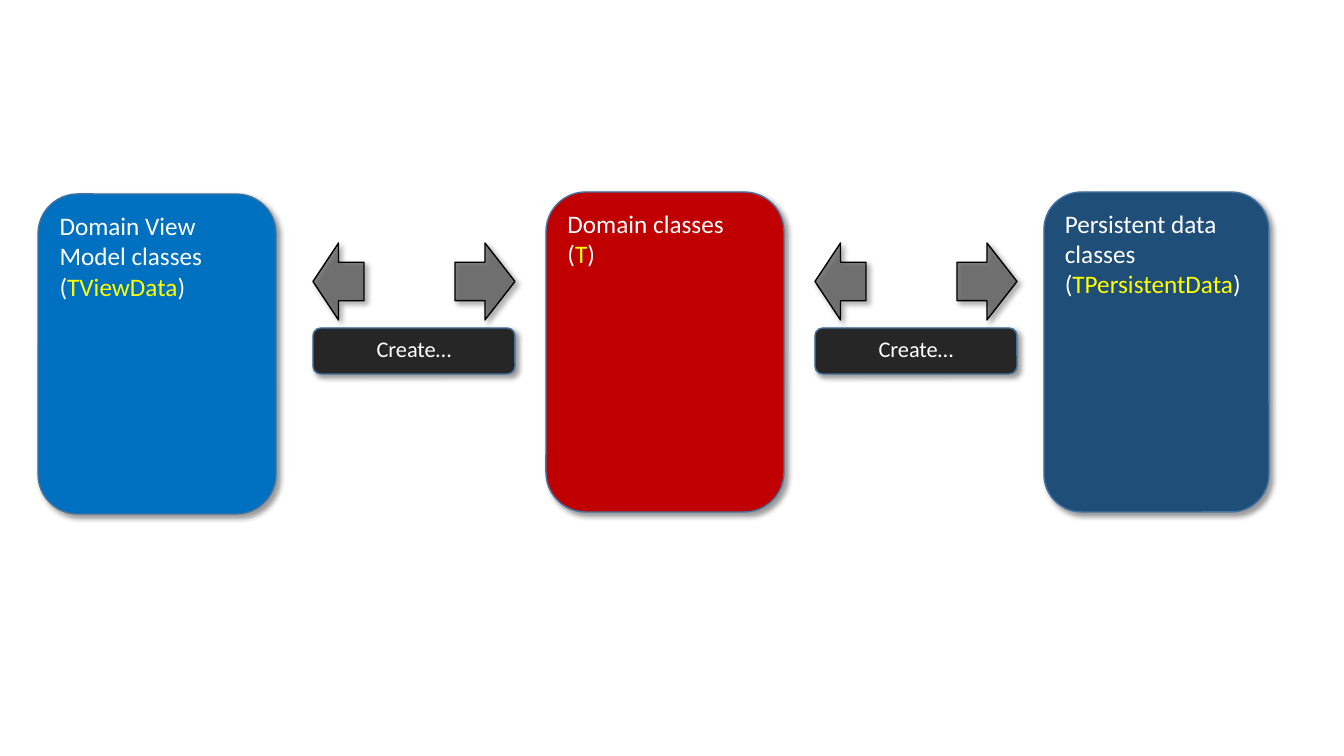
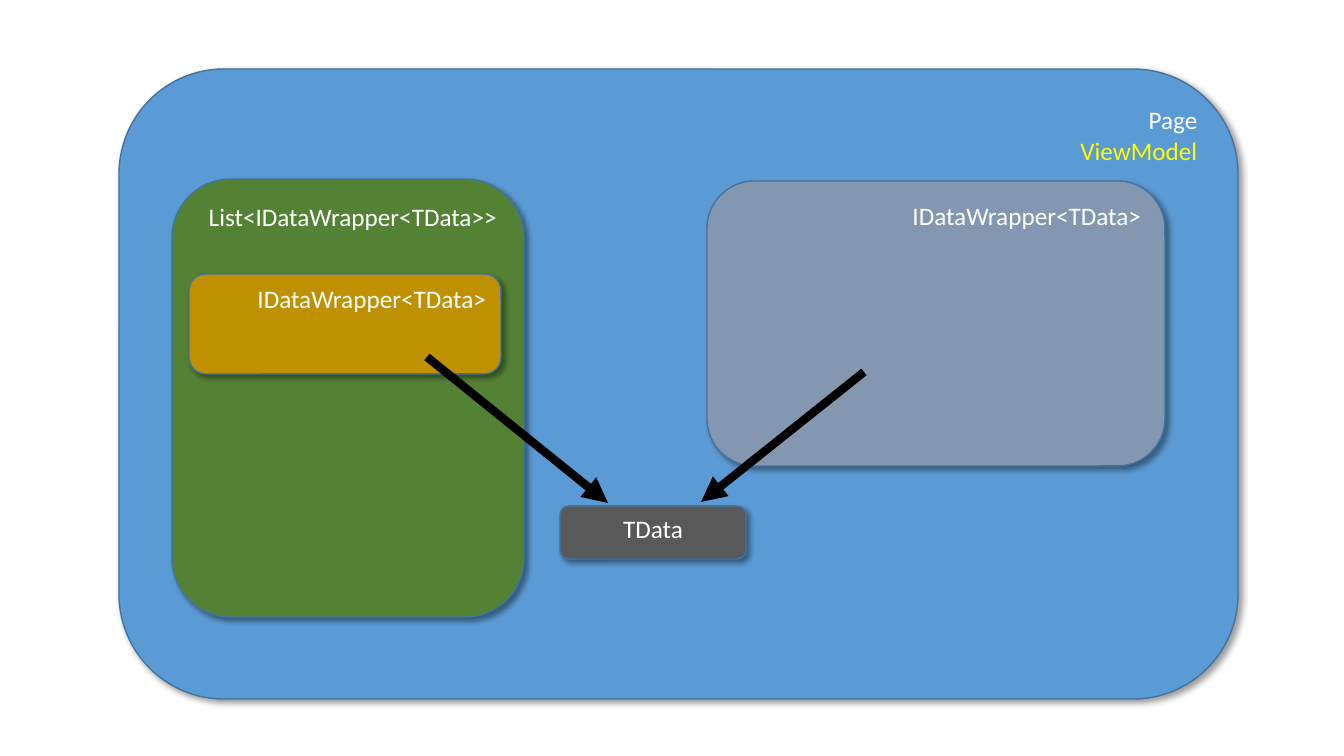
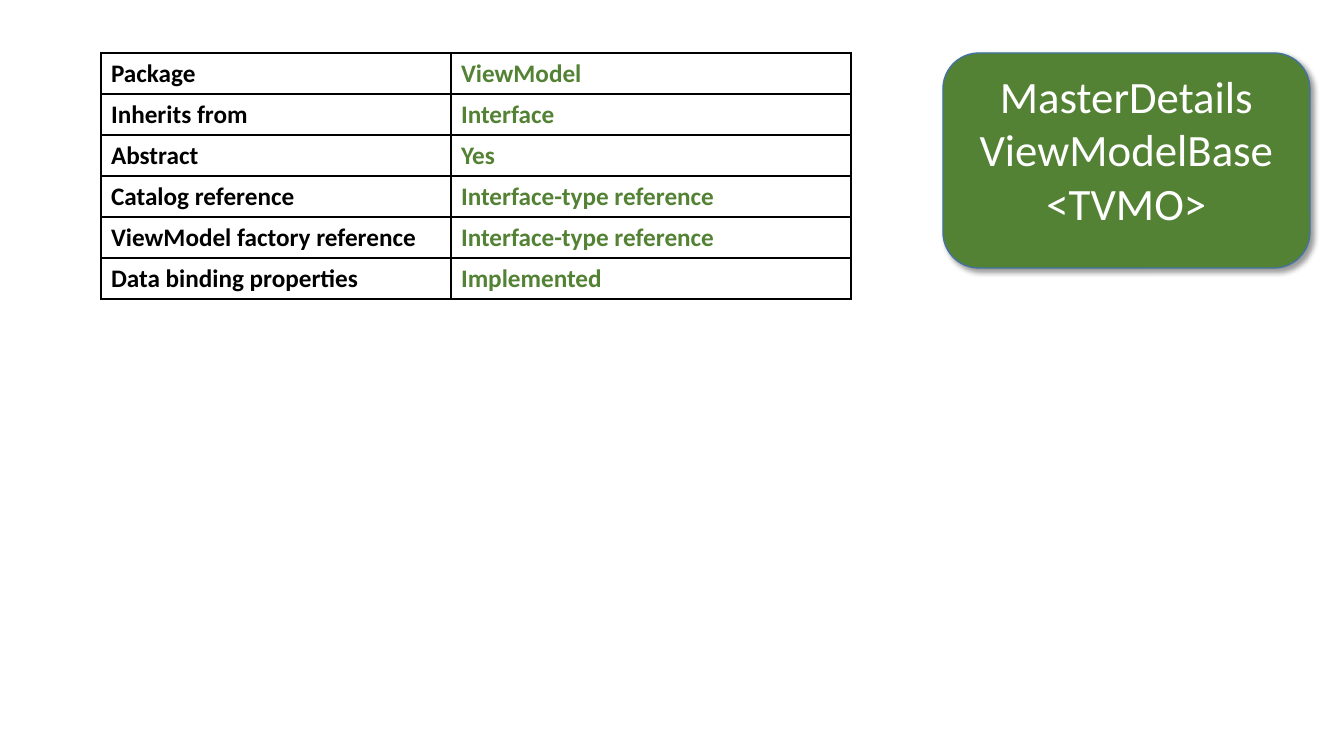
"""Build three slides on domain, view model and persistent data classes."""
from lxml.etree import SubElement
from pptx import Presentation
from pptx.dml.color import RGBColor
from pptx.enum.shapes import MSO_CONNECTOR, MSO_SHAPE
from pptx.enum.text import MSO_ANCHOR, PP_ALIGN
from pptx.oxml import parse_xml
from pptx.oxml.ns import nsdecls, qn
from pptx.util import Emu, Pt

PX = 914400 / 100.8
FONT = "Calibri"
WHITE, YELLOW, BLACK = "FFFFFF", "FFFF00", "000000"
GREEN, GREY, EDGE = "548235", "595959", "43739E"
LEFT, CENTER, RIGHT = PP_ALIGN.LEFT, PP_ALIGN.CENTER, PP_ALIGN.RIGHT


def generic(name):
    """Return the spans of a type parameter in parentheses."""
    return [("(", WHITE), (name, YELLOW), (")", WHITE)]


def plain(*lines):
    """Return one white paragraph per line."""
    return [[(line, WHITE)] for line in lines]


LAYERS = [
    ((546, 192, 238, 320), "C00000", plain("Domain classes") + [generic("T")], LEFT, 18),
    ((38, 194, 238, 320), "0070C0", plain("Domain View Model classes") + [generic("TViewData")], LEFT, 18),
    ((1044, 192, 225, 320), "1F4E79", plain("Persistent data classes") + [generic("TPersistentData")], LEFT, 18),
]
BRIDGE_LEFTS = (313, 815)
BRIDGE_WIDTH = 202

PAGE_PARTS = [
    ((119, 69, 1119, 630), "5B9BD5", plain("Page") + [[("ViewModel", YELLOW)]], RIGHT, 18),
    ((172, 179, 352, 438), GREEN, plain("List<IDataWrapper<TData>>"), RIGHT, 18),
    ((189, 274, 312, 100), "BF9000", plain("IDataWrapper<TData>"), RIGHT, 18),
    ((707, 181, 458, 285), "8497B0", plain("IDataWrapper<TData>"), RIGHT, 18),
    ((560, 506, 186, 53), GREY, plain("TData"), CENTER, 18),
]
DATA_ARROWS = [(427, 357, 608, 503), (864, 372, 701, 502)]

BASE_CLASS = ((943, 53, 367, 215), GREEN, plain("MasterDetails", "ViewModelBase", "<TVMO>"), CENTER, 32)
PROPERTIES = [
    ("Package", "ViewModel"),
    ("Inherits from", "Interface"),
    ("Abstract", "Yes"),
    ("Catalog reference", "Interface-type reference"),
    ("ViewModel factory reference", "Interface-type reference"),
    ("Data binding properties", "Implemented"),
]
COLUMNS = [(350, BLACK), (400, GREEN)]
TABLE_LEFT, TABLE_TOP, ROW_HEIGHT = 101, 53, 41


def px(*lengths):
    """Turn px into EMU."""
    return [Emu(round(length * PX)) for length in lengths]


def paint(color_format, color):
    """Set a solid fill or line fill from a hex string."""
    color_format.solid()
    color_format.fore_color.rgb = RGBColor.from_string(color)


def write(frame, paragraphs, size, align=LEFT, bold=False):
    """Write paragraphs made of (text, color) spans."""
    for index, spans in enumerate(paragraphs):
        para = frame.add_paragraph() if index else frame.paragraphs[0]
        para.alignment = align
        for text, color in spans:
            span = para.add_run()
            span.text = text
            font = span.font
            font.name, font.size, font.bold = FONT, Pt(size), bold
            paint(font.fill, color)


def add_block(page, kind, place, fill, edge):
    """Add a filled, outlined shape with the shared soft shadow."""
    block = page.shapes.add_shape(kind, *px(*place))
    paint(block.fill, fill)
    paint(block.line.fill, edge)
    block.line.width = Pt(1)
    block.shadow.inherit = False
    effects = block._element.spPr.find(qn("a:effectLst"))
    effects.append(parse_xml(
        f'<a:outerShdw {nsdecls("a")} blurRad="{Pt(4)}" dist="{Pt(3)}" dir="2700000" algn="tl" '
        f'rotWithShape="0"><a:srgbClr val="{BLACK}"><a:alpha val="40000"/></a:srgbClr></a:outerShdw>'))
    return block


def add_box(page, place, fill, paragraphs, align, size):
    """Add a rounded box with text at its top."""
    box = add_block(page, MSO_SHAPE.ROUNDED_RECTANGLE, place, fill, EDGE)
    box.text_frame.word_wrap = True
    box.text_frame.vertical_anchor = MSO_ANCHOR.TOP
    write(box.text_frame, paragraphs, size, align)


def add_bridge(page, left):
    """Add a Create box with a block arrow above each of its ends."""
    add_box(page, (left, 328, BRIDGE_WIDTH, 46), "262626", plain("Create…"), CENTER, 16)
    for width, start, turn in ((60, left + BRIDGE_WIDTH - 60, 0), (51, left, 180)):
        arrow = add_block(page, MSO_SHAPE.RIGHT_ARROW, (start, 243, width, 77), GREY, BLACK)
        arrow.rotation = turn
        color = arrow._element.spPr.find(qn("a:solidFill"))[0]
        SubElement(color, qn("a:alpha"), val="75000")


def add_arrow(page, ends):
    """Add a thick black arrow."""
    arrow = page.shapes.add_connector(MSO_CONNECTOR.STRAIGHT, *px(*ends))
    paint(arrow.line.fill, BLACK)
    arrow.line.width = Pt(6)
    SubElement(arrow.line._get_or_add_ln(), qn("a:tailEnd"), type="triangle")
    SubElement(arrow._element.spPr, qn("a:effectLst"))


def add_borders(cell):
    """Draw a thin black line on each side of a cell."""
    properties = cell._tc.get_or_add_tcPr()
    for index, side in enumerate("LRTB"):
        properties.insert(index, parse_xml(
            f'<a:ln{side} {nsdecls("a")} w="{Pt(1)}"><a:solidFill><a:srgbClr val="{BLACK}"/>'
            f'</a:solidFill></a:ln{side}>'))


def add_properties(page):
    """Add the table of class properties."""
    width = sum(column_width for column_width, _ in COLUMNS)
    place = px(TABLE_LEFT, TABLE_TOP, width, ROW_HEIGHT * len(PROPERTIES))
    table = page.shapes.add_table(len(PROPERTIES), len(COLUMNS), *place).table
    table.first_row = table.horz_banding = False
    for column, (column_width, _) in zip(table.columns, COLUMNS):
        column.width = px(column_width)[0]
    for row, texts in zip(table.rows, PROPERTIES):
        row.height = px(ROW_HEIGHT)[0]
        for cell, text, (_, color) in zip(row.cells, texts, COLUMNS):
            cell.fill.background()
            add_borders(cell)
            write(cell.text_frame, [[(text, color)]], 18, bold=True)


def main():
    """Build and save the deck."""
    deck = Presentation()
    deck.slide_width, deck.slide_height = px(1344, 756)
    layers, wrappers, base = [deck.slides.add_slide(deck.slide_layouts[6]) for _ in range(3)]
    for layer in LAYERS:
        add_box(layers, *layer)
    for left in BRIDGE_LEFTS:
        add_bridge(layers, left)
    for part in PAGE_PARTS:
        add_box(wrappers, *part)
    for ends in DATA_ARROWS:
        add_arrow(wrappers, ends)
    add_box(base, *BASE_CLASS)
    add_properties(base)
    deck.save("out.pptx")


if __name__ == "__main__":
    main()
